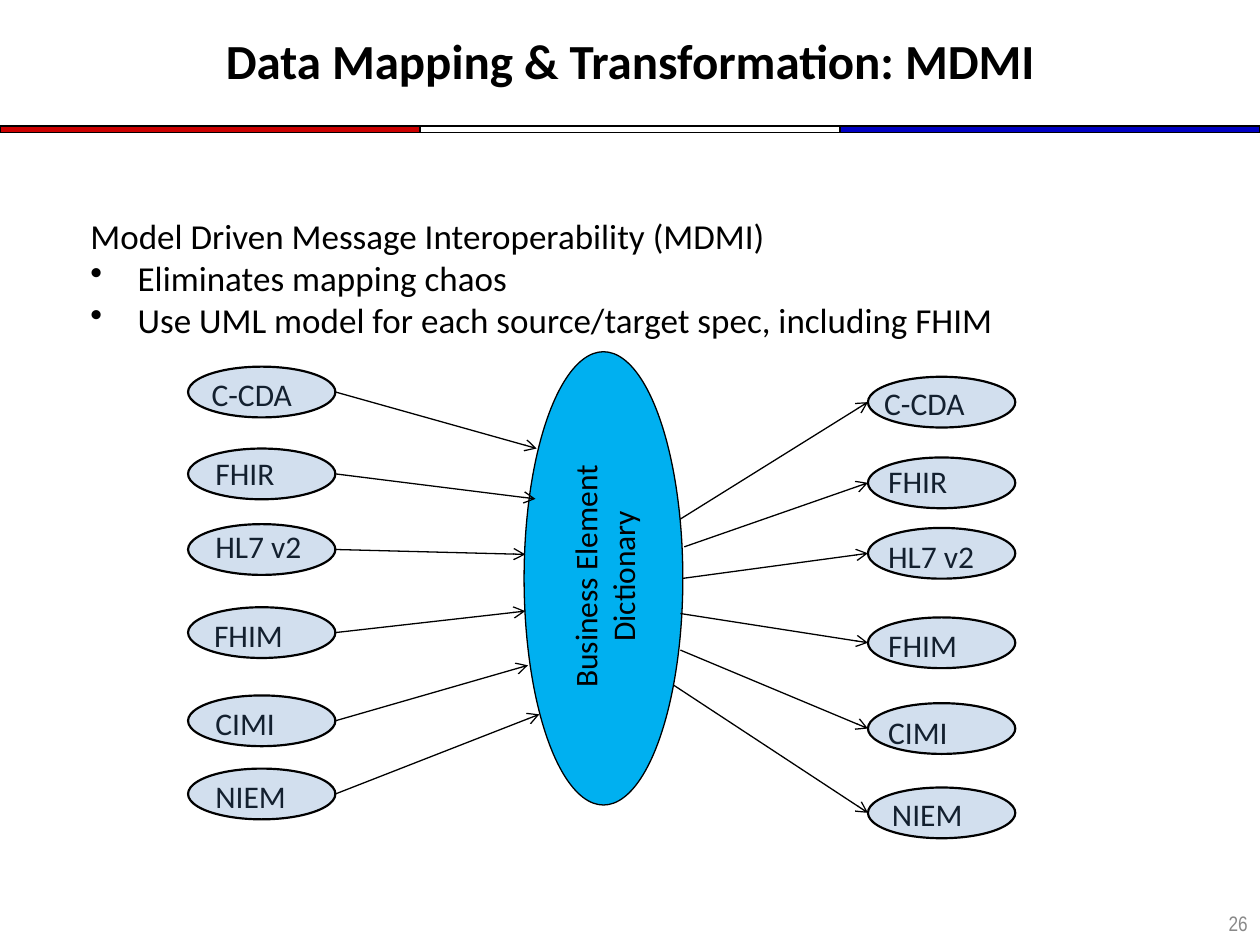
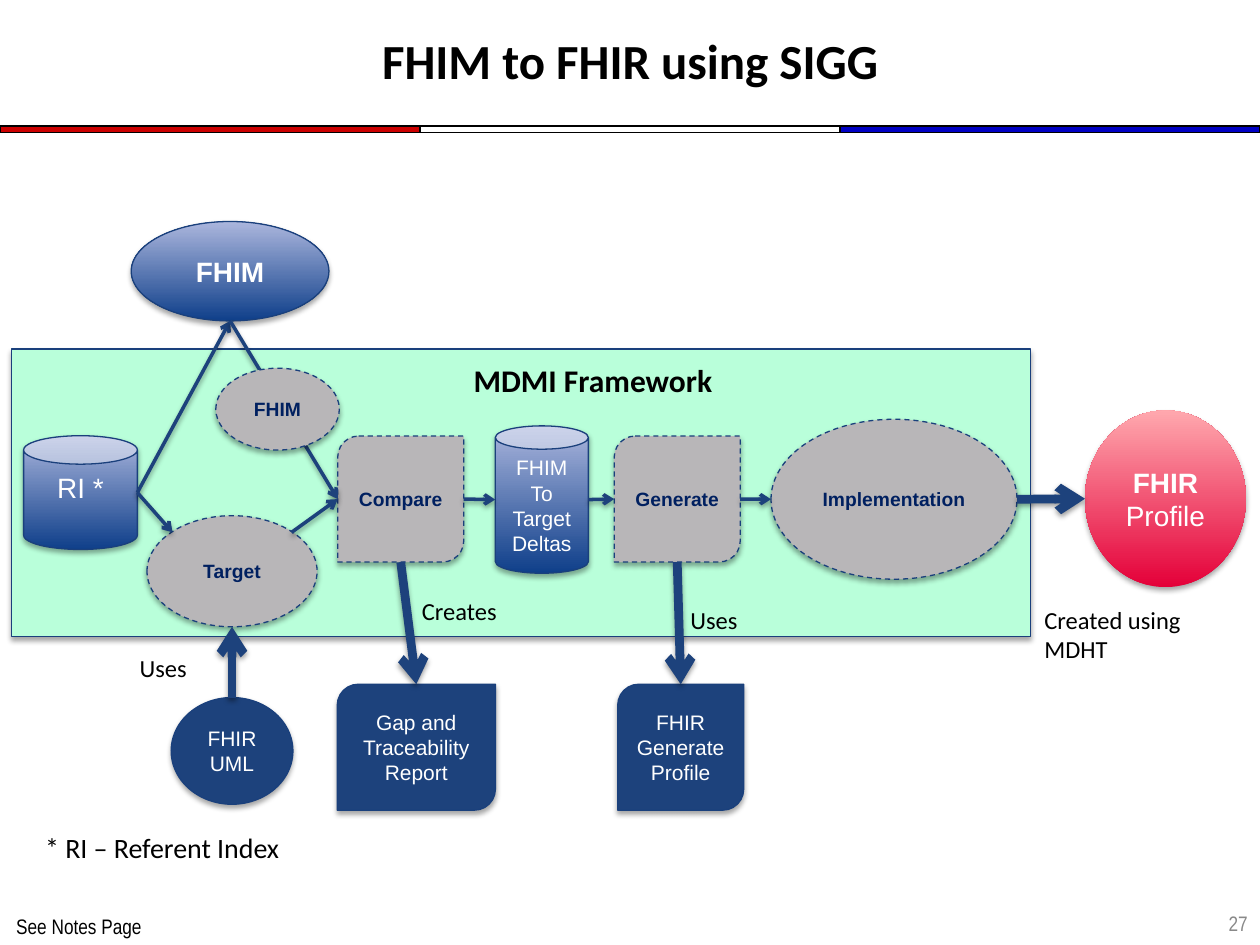
"""Build two slides on mapping and transforming health data models."""
from lxml import etree
from pptx import Presentation
from pptx.dml.color import RGBColor
from pptx.enum import dml, shapes, text
from pptx.oxml.ns import qn
from pptx.util import Pt

BLACK, WHITE = RGBColor(0, 0, 0), RGBColor(255, 255, 255)
RED, BLUE = RGBColor(0xCC, 0, 0), RGBColor(0, 0, 0xC4)
GRAY, INK = RGBColor(0x89, 0x89, 0x89), RGBColor(0, 0x20, 0x60)
HUB, TINT = RGBColor(0, 0xB0, 0xF0), RGBColor(0x4F, 0x81, 0xBD)
NAVY, EDGE = RGBColor(0x1D, 0x42, 0x7C), RGBColor(0x1A, 0x40, 0x7C)
MINT, SILVER = RGBColor(0xB9, 0xFF, 0xDA), RGBColor(0xB8, 0xB6, 0xB8)
BLUE_FADE = (RGBColor(0x0F, 0x3F, 0x8A), RGBColor(0xAB, 0xB6, 0xDD))
RED_FADE = (RGBColor(0xE4, 0, 0x39), RGBColor(0xFF, 0xA8, 0xAE))

KIND = shapes.MSO_SHAPE
OVAL, CAN, LEAF = KIND.OVAL, KIND.CAN, KIND.ROUND_2_DIAG_RECTANGLE
LEFT, CENTER, RIGHT = text.PP_ALIGN.LEFT, text.PP_ALIGN.CENTER, text.PP_ALIGN.RIGHT
TOP, MIDDLE = text.MSO_ANCHOR.TOP, text.MSO_ANCHOR.MIDDLE

BAND_COLORS = (RED, WHITE, BLUE)
INTRO = ["Model Driven Message Interoperability (MDMI)",
         "Eliminates mapping chaos",
         "Use UML model for each source/target spec, including FHIM"]
HUB_BOX = (299.5, 201, 90.7, 259)
FORMAT_SIZE = (84.2, 29)
# name, oval top, label left, label top, arrow point on the hub
SOURCES = [("C-CDA", 209.5, 113.8, 211, (306.7, 256.3)),
           ("FHIR", 256.3, 116, 255.6, (306, 285.1)),
           ("HL7 v2", 299.5, 116, 297.4, (300.2, 316.8)),
           ("FHIM", 347, 115.2, 348.5, (300.2, 349.2)),
           ("CIMI", 397.4, 116, 398.9, (301.7, 380.2)),
           ("NIEM", 439.2, 116, 440.6, (308.2, 408.2))]
TARGETS = [("C-CDA", 215.3, 498.2, 216, (388.8, 296.6)),
           ("FHIR", 261.4, 500.4, 260.6, (391, 312.5)),
           ("HL7 v2", 301.7, 500.4, 303.1, (390.2, 330.5)),
           ("FHIM", 352.8, 500.4, 354.2, (388.8, 350.6)),
           ("CIMI", 401.8, 500.4, 403.9, (388.8, 371.5)),
           ("NIEM", 450, 502.6, 450.7, (385.2, 391.7))]
SOURCE_LEFT, TARGET_LEFT = 107.5, 496

FRAME = (6.5, 199.4, 582.5, 164.2)
STYLES = {"store": (BLUE_FADE, WHITE, 12, False), "model": (BLUE_FADE, WHITE, 16, True),
          "index": (BLUE_FADE, WHITE, 16, False), "step": (SILVER, INK, 11, True),
          "asset": (NAVY, WHITE, 12, False), "result": (RED_FADE, WHITE, 16, False)}
NODES = {
    "index": (CAN, "index", (13.5, 249, 65, 65), ["RI *"]),
    "target": (OVAL, "step", (84, 294.7, 97.2, 63.5), ["Target"]),
    "deltas": (CAN, "store", (283, 243.4, 53.2, 84.2), ["FHIM", "To", "Target", "Deltas"]),
    "fhim": (OVAL, "model", (75, 126.6, 113, 56.8), ["FHIM"]),
    "implement": (OVAL, "step", (440.6, 239.6, 140.6, 91.4), ["Implementation"]),
    "generate": (LEAF, "step", (351, 249.2, 72, 72), ["Generate"]),
    "compare": (LEAF, "step", (193, 249.2, 72, 72), ["Compare"]),
    "uml": (OVAL, "asset", (97.8, 398.6, 69.6, 61), ["FHIR UML"]),
    "report": (LEAF, "asset", (192.7, 391, 90.4, 72), ["Gap and", "Traceability Report"]),
    "spec": (LEAF, "asset", (353, 391, 72, 72), ["FHIR", "Generate", "Profile"]),
    "profile": (OVAL, "result", (620, 234.5, 92, 101), [("FHIR", " Profile")]),
}
FHIM_PART = (OVAL, "step", (123.3, 210.4, 70.6, 46.8), ["FHIM"])
SITES = {"top": (0.5, 0), "bottom": (0.5, 1), "left": (0, 0.5), "right": (1, 0.5),
         "top left": (0.15, 0.15), "top right": (0.85, 0.15)}
LINKS = [("index", "right", "fhim", "bottom", 2),
         ("index", "right", "target", "top left", 2),
         ("fhim", "bottom", "compare", "left", 2),
         ("target", "top right", "compare", "left", 2),
         ("compare", "right", "deltas", "left", 2),
         ("deltas", "right", "generate", "left", 2),
         ("generate", "right", "implement", "left", 2),
         ("uml", "top", "target", "bottom", 5),
         ("compare", "bottom", "report", "top", 5),
         ("generate", "bottom", "spec", "top", 5),
         ("implement", "right", "profile", "left", 5)]
NOTES = [("Creates", (234, 337, 69, 24.5), 14, "Calibri", False),
         ("Uses", (387.4, 342, 61, 24.5), 14, "Calibri", False),
         ("Created using MDHT", (589.7, 342, 97.2, 41), 14, "Calibri", False),
         ("Uses", (72.7, 369.4, 61, 24.5), 14, "Calibri", False),
         ("* RI – Referent Index", (18.7, 470.9, 165.6, 26.6), 16, "Calibri", False),
         ("MDMI Framework", (263.5, 203, 284.4, 29), 18, "Calibri", True),
         ("See Notes Page", (2.2, 518.4, 100, 21.6), 12, "Arial Narrow", False)]


def points(values):
    return [Pt(value) for value in values]


def write(box, lines, size, font="Calibri", color=BLACK, bold=False, align=LEFT, anchor=TOP):
    frame = box.text_frame
    frame.word_wrap, frame.vertical_anchor = True, anchor
    for number, line in enumerate(lines):
        para = frame.paragraphs[0] if number == 0 else frame.add_paragraph()
        para.alignment = align
        para.font.size, para.font.name, para.font.bold = Pt(size), font, bold
        para.font.color.rgb = color
        if isinstance(line, str):
            para.add_run().text = line
        else:
            lead, rest = para.add_run(), para.add_run()
            lead.text, rest.text = line
            lead.font.bold = True
    return box


def add_label(page, area, lines, size, **style):
    return write(page.shapes.add_textbox(*points(area)), lines, size, **style)


def add_figure(page, kind, area, fill, line=BLACK, weight=0.75):
    shape = page.shapes.add_shape(kind, *points(area))
    if isinstance(fill, tuple) and not isinstance(fill, RGBColor):
        shape.fill.gradient()
        shape.fill.gradient_angle = 90
        for stop, color in zip(shape.fill.gradient_stops, fill):
            stop.color.rgb = color
    else:
        shape.fill.solid()
        shape.fill.fore_color.rgb = fill
    if line is None:
        shape.line.fill.background()
    else:
        shape.line.color.rgb, shape.line.width = line, Pt(weight)
    shape.shadow.inherit = False
    return shape


def cast_shadow(effects, distance, opacity):
    shadow = etree.SubElement(effects, qn("a:outerShdw"), blurRad=str(Pt(3.1)),
                              dist=str(Pt(distance)), dir="5400000", rotWithShape="0")
    color = etree.SubElement(shadow, qn("a:srgbClr"), val="000000")
    etree.SubElement(color, qn("a:alpha"), val=str(opacity * 1000))


def add_arrow(page, start, end, color=BLACK, weight=0.75):
    arrow = page.shapes.add_connector(shapes.MSO_CONNECTOR.STRAIGHT, *points(start + end))
    arrow.line.color.rgb, arrow.line.width = color, Pt(weight)
    properties = arrow.element.spPr
    etree.SubElement(properties.find(qn("a:ln")), qn("a:tailEnd"), type="arrow")
    return etree.SubElement(properties, qn("a:effectLst"))


def add_bands(layout, page):
    for number, color in enumerate(BAND_COLORS):
        band = add_figure(page, KIND.RECTANGLE, (240 * number, 72, 240, 3.6), color)
        layout.element.cSld.spTree.append(band.element)


def add_page(deck, title, number):
    page = deck.slides.add_slide(deck.slide_layouts[5])
    heading = page.shapes.title
    heading.left, heading.top, heading.width, heading.height = points((36, 0, 648, 68.4))
    write(heading, [title], 28, bold=True, align=CENTER, anchor=MIDDLE)
    add_label(page, (552, 514.8, 168, 25.2), [str(number)], 12, font="Arial Narrow",
              color=GRAY, align=RIGHT, anchor=MIDDLE)
    return page


def add_formats(page, formats, left, incoming):
    width, height = FORMAT_SIZE
    for name, top, label_left, label_top, hub_point in formats:
        add_label(page, (label_left, label_top, 109, 29), [name], 18)
        middle = top + height / 2
        if incoming:
            add_arrow(page, (left + width, middle), hub_point)
        else:
            add_arrow(page, hub_point, (left, middle))
        oval = add_figure(page, OVAL, (left, top, width, height), TINT, weight=1.25)
        color = oval.element.spPr.find(qn("a:solidFill"))[0]
        etree.SubElement(color, qn("a:alpha"), val="25000")


def fill_mapping(page):
    intro = add_label(page, (44.6, 118.8, 628.6, 80), INTRO, 20)
    for para in intro.text_frame.paragraphs[1:]:
        properties = para._p.get_or_add_pPr()
        properties.set("marL", str(Pt(27)))
        properties.set("indent", str(Pt(-27)))
        bullet = etree.Element(qn("a:buChar"), char="•")
        properties.find(qn("a:defRPr")).addprevious(bullet)
    add_figure(page, OVAL, HUB_BOX, HUB)
    caption = add_label(page, (255.6, 303.8, 179.3, 51), ["Business Element Dictionary"],
                        18, align=CENTER)
    caption.rotation = 270
    add_formats(page, SOURCES, SOURCE_LEFT, True)
    add_formats(page, TARGETS, TARGET_LEFT, False)


def add_node(page, kind, style, area, lines):
    fill, color, size, bold = STYLES[style]
    node = add_figure(page, kind, area, fill, None if style == "result" else EDGE)
    if style == "step":
        node.line.dash_style = dml.MSO_LINE.DASH
    cast_shadow(node.element.spPr.find(qn("a:effectLst")), 1.8, 35)
    write(node, lines, size, "Arial", color, bold, CENTER, TOP if style == "index" else MIDDLE)


def site(name, side):
    left, top, width, height = NODES[name][2]
    across, down = SITES[side]
    return left + across * width, top + down * height


def fill_process(page):
    frame = add_figure(page, KIND.RECTANGLE, FRAME, MINT, EDGE)
    cast_shadow(frame.element.spPr.find(qn("a:effectLst")), 1.8, 35)
    for node in NODES.values():
        add_node(page, *node)
    for origin, out_side, goal, in_side, weight in LINKS:
        effects = add_arrow(page, site(origin, out_side), site(goal, in_side), NAVY, weight)
        cast_shadow(effects, 1.6, 38)
    add_node(page, *FHIM_PART)
    for note, area, size, font, bold in NOTES:
        add_label(page, area, [note], size, font=font, bold=bold)


def main():
    deck = Presentation()
    deck.slide_width, deck.slide_height = Pt(720), Pt(540)
    mapping = add_page(deck, "Data Mapping & Transformation: MDMI", 26)
    add_bands(deck.slide_layouts[5], mapping)
    fill_mapping(mapping)
    fill_process(add_page(deck, "FHIM to FHIR using SIGG", 27))
    deck.save("out.pptx")


if __name__ == "__main__":
    main()
